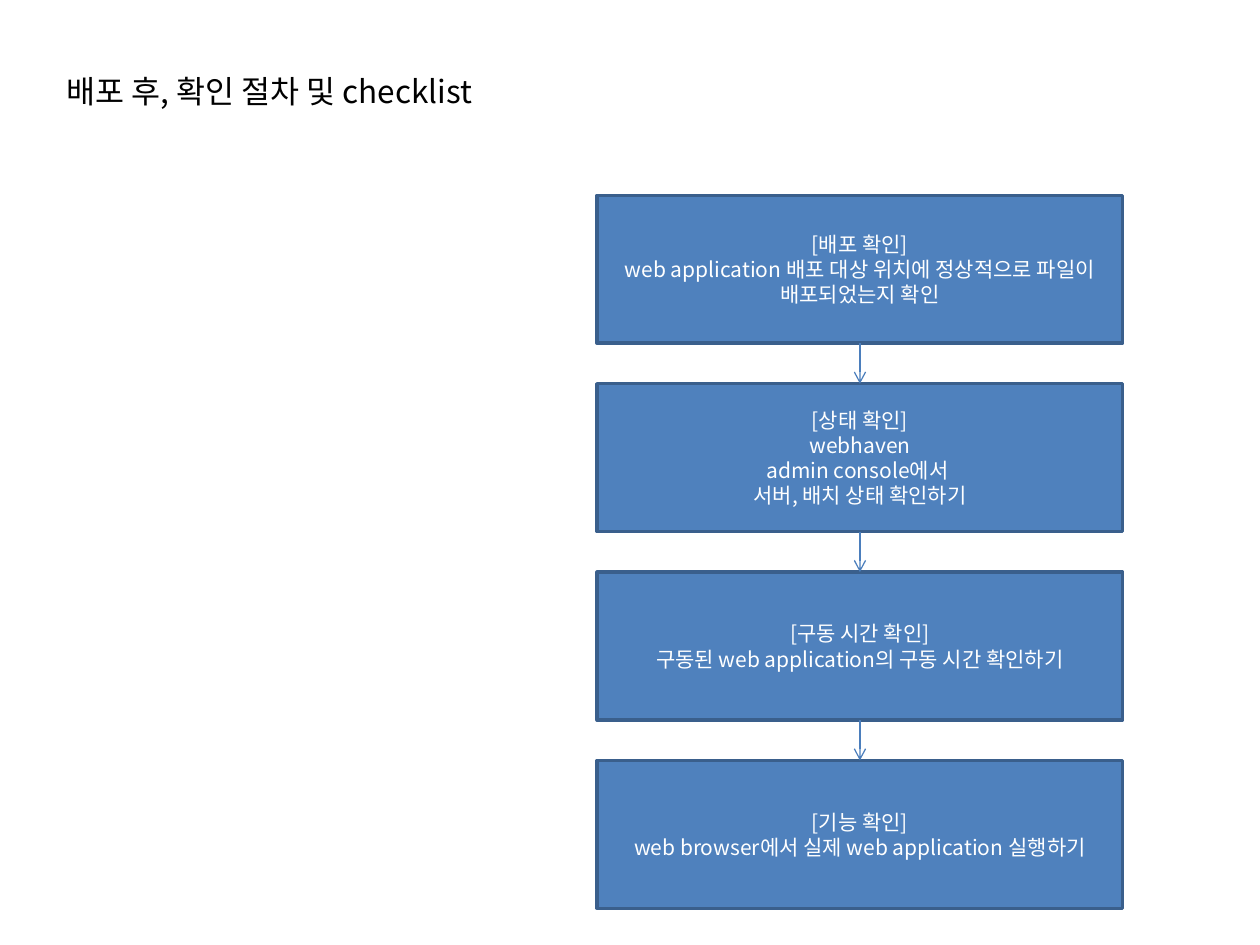
from dataclasses import dataclass

from lxml.etree import SubElement
from pptx import Presentation
from pptx.dml.color import RGBColor as RGB
from pptx.enum.shapes import MSO_CONNECTOR as CONN, MSO_SHAPE as SHAPE
from pptx.enum.text import MSO_ANCHOR as ANCHOR, MSO_AUTO_SIZE as FIT, PP_ALIGN as ALIGN
from pptx.oxml.ns import qn
from pptx.util import Inches, Pt


@dataclass(frozen=True)
class Theme:
    font: str = "Noto Sans CJK KR"
    fill: RGB = RGB(0x4F, 0x81, 0xBD)
    border: RGB = RGB(0x3A, 0x5F, 0x8C)
    arrow: RGB = RGB(0x4B, 0x7E, 0xBC)
    dark: RGB = RGB(0, 0, 0)
    light: RGB = RGB(255, 255, 255)
    title: int = 18
    body: int = 12
    border_width: float = 2
    arrow_width: float = 0.75


THEME = Theme()
COLS, ROWS = 100, 75
SLIDE_W, SLIDE_H = Inches(10), Inches(7.5)
TITLE_BOX = (4.3, 5.2, 36.9, 4)
FLOW_BOX = (47.4, 15.5, 41.7, 56.6)
STEP_SHARE = 0.83

TITLE = "배포 후, 확인 절차 및 checklist"
STEPS = [
    ["[배포 확인]", "web application 배포 대상 위치에 정상적으로 파일이 배포되었는지 확인"],
    ["[상태 확인]", "webhaven", "admin console에서 ", "서버, 배치 상태 확인하기"],
    ["[구동 시간 확인]", "구동된 web application의 구동 시간 확인하기"],
    ["[기능 확인]", "web browser에서 실제 web application 실행하기"],
]


def grid(x, y, *size):
    """Turn column and row counts into slide lengths."""
    unit = (SLIDE_W / COLS, SLIDE_H / ROWS)
    return [round(n * unit[i % 2]) for i, n in enumerate((x, y, *size))]


def write(tf, lines, size, color, align):
    """Write each line as a paragraph with one run."""
    for i, line in enumerate(lines):
        p = tf.add_paragraph() if i else tf.paragraphs[0]
        p.alignment = align
        r = p.add_run()
        r.text = line
        r.font.size = Pt(size)
        r.font.color.rgb = color
        r.font.name = THEME.font
        SubElement(r.font._element, qn("a:ea"), typeface=THEME.font)


def add_title(s, box):
    """Place the slide title."""
    tf = s.shapes.add_textbox(*grid(*box)).text_frame
    tf.word_wrap = False
    tf.auto_size = FIT.SHAPE_TO_FIT_TEXT
    write(tf, [TITLE], THEME.title, THEME.dark, ALIGN.LEFT)


def add_step(s, box, lines):
    """Draw one step of the flow and return its shape."""
    sp = s.shapes.add_shape(SHAPE.RECTANGLE, *grid(*box))
    sp.shadow.inherit = False
    sp.fill.solid()
    sp.fill.fore_color.rgb = THEME.fill
    sp.line.color.rgb = THEME.border
    sp.line.width = Pt(THEME.border_width)
    tf = sp.text_frame
    tf.word_wrap = True
    tf.vertical_anchor = ANCHOR.MIDDLE
    write(tf, lines, THEME.body, THEME.light, ALIGN.CENTER)
    return sp


def add_arrow(s, above, below):
    """Join the bottom of one step to the top of the next."""
    c = s.shapes.add_connector(CONN.STRAIGHT, 0, 0, 0, 0)
    c.begin_connect(above, 2)
    c.end_connect(below, 0)
    c.line.color.rgb = THEME.arrow
    c.line.width = Pt(THEME.arrow_width)
    SubElement(c.line._get_or_add_ln(), qn("a:tailEnd"), type="arrow")
    SubElement(c._element.spPr, qn("a:effectLst"))


def add_flow(s, box, steps):
    """Stack the steps evenly in the box and link them."""
    x, y, w, h = box
    n = len(steps)
    step_h = h * STEP_SHARE / n
    pitch = (h - step_h) / (n - 1)
    shapes = [add_step(s, (x, y + i * pitch, w, step_h), lines) for i, lines in enumerate(steps)]
    for above, below in zip(shapes, shapes[1:]):
        add_arrow(s, above, below)


def main():
    """Build and save the presentation."""
    prs = Presentation()
    prs.slide_width, prs.slide_height = SLIDE_W, SLIDE_H
    s = prs.slides.add_slide(prs.slide_layouts[6])
    add_title(s, TITLE_BOX)
    add_flow(s, FLOW_BOX, STEPS)
    prs.save("out.pptx")


if __name__ == "__main__":
    main()
